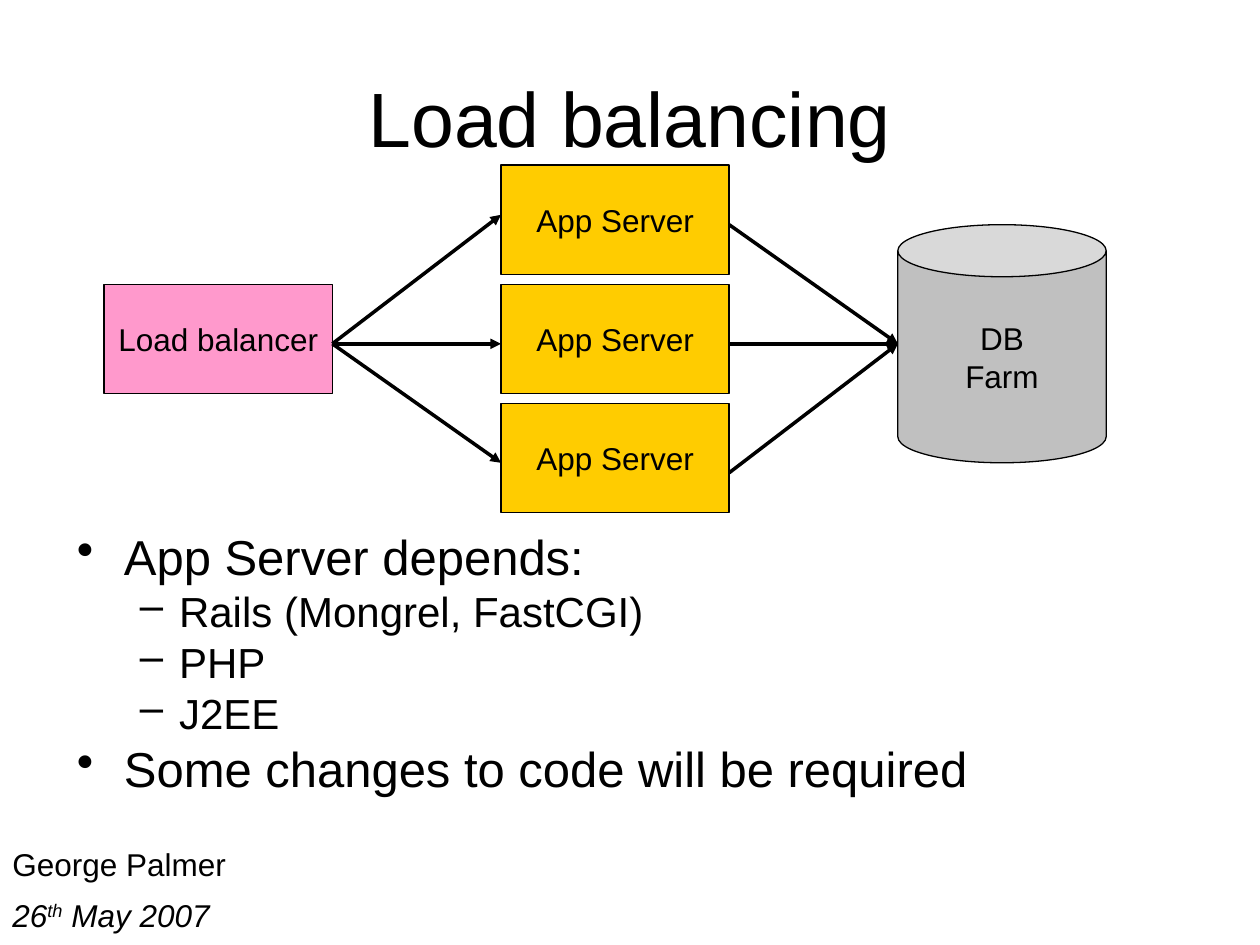
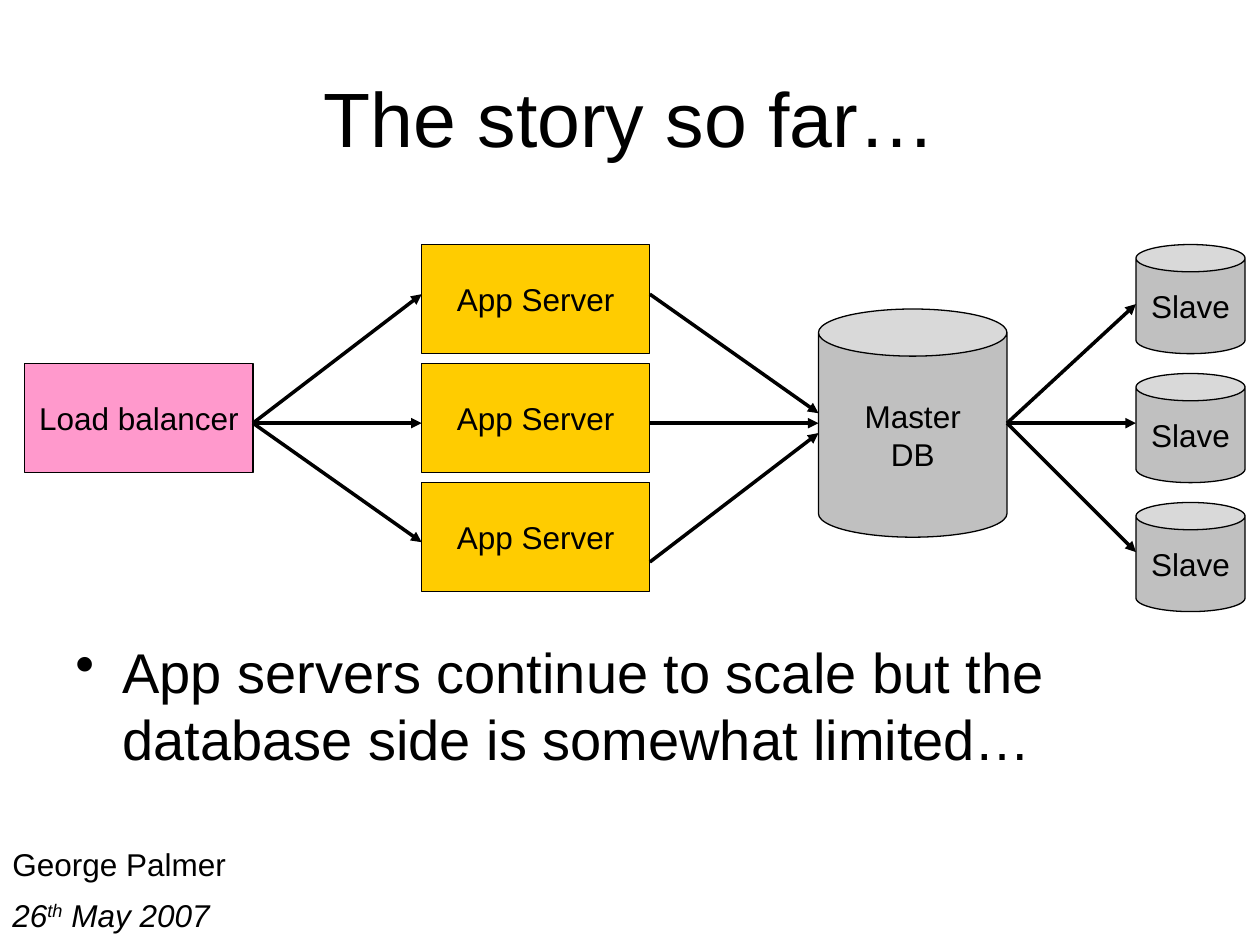
from dataclasses import dataclass
from lxml.etree import SubElement
from pptx import Presentation
from pptx.dml.color import RGBColor as RGB
from pptx.enum.shapes import MSO_CONNECTOR as LINK, MSO_SHAPE as SHAPE
from pptx.enum.text import MSO_ANCHOR as ANCHOR, MSO_AUTO_SIZE as FIT, PP_ALIGN as ALIGN
from pptx.oxml.ns import qn
from pptx.util import Cm, Pt


@dataclass(frozen=True)
class Theme:
    font: str = "Arial"
    ink: RGB = RGB(0, 0, 0)
    pink: RGB = RGB(0xFF, 0x99, 0xCC)
    gold: RGB = RGB(0xFF, 0xCC, 0x00)
    grey: RGB = RGB(0xC0, 0xC0, 0xC0)
    title: int = 44
    large: int = 32
    point: int = 28
    minor: int = 24
    label: int = 18
    edge: float = 0.75
    arrow: float = 2


THEME = Theme()
FOOTER = [
    ("George Palmer", (0, 16.92, 9.9, 1.02), False),
    ("26^th^ May 2007", (0, 17.93, 6.1, 1.02), True),
]
MAJOR = dict(bullet="•", left=0.95, hang=0.95)
MINOR = dict(bullet="–", left=2.06, hang=0.79, size=THEME.minor, before=6, spacing=0.8)
POINT = dict(MAJOR, size=THEME.point, before=7, spacing=0.8)
LARGE = dict(MAJOR, size=THEME.large)
SLIDES = [
    dict(
        title="Load balancing",
        origin=(2.1, 3.33),
        store=("DB\nFarm", 4.2, 4.8),
        exits=(1.2, 3.6, 6.2),
        entries=(3.6, 3.6, 3.6),
        slaves=[],
        body=(1.3, 10.72, 22.86, 6),
        points=[
            ("App Server depends:", POINT),
            ("Rails (Mongrel, FastCGI)\nPHP\nJ2EE", MINOR),
            ("Some changes to code will be required", POINT),
        ],
    ),
    dict(
        title="The story so far…",
        origin=(0.5, 4.93),
        store=("Master\nDB", 3.8, 4.6),
        exits=(1, 3.6, 6.4),
        entries=(3.4, 3.6, 3.8),
        slaves=["Slave"] * 3,
        body=(1.27, 12.72, 22.86, 4.3),
        points=[("App servers continue to scale but the database side is somewhat limited…", LARGE)],
    ),
]
SERVERS = ["App Server"] * 3
BOX_W, BOX_H, STEP = 4.6, 2.2, 2.4
SERVER_X, STORE_X, SLAVE_X = 8, 16, 22.4
SLAVE_STEP, MID = 2.6, 3.6


def write(frame, text, size=THEME.label, align=ALIGN.LEFT, italic=False,
          bullet=None, left=0, hang=0, before=0, spacing=None):
    for line in text.split("\n"):
        first = not frame.text
        para = frame.paragraphs[0] if first else frame.add_paragraph()
        para.alignment = align
        para.space_before = Pt(0 if first else before)
        if spacing:
            para.line_spacing = spacing
        if bullet:
            props = para._p.get_or_add_pPr()
            props.set("marL", str(Cm(left)))
            props.set("indent", str(-Cm(hang)))
            SubElement(props, qn("a:buChar")).set("char", bullet)
        for num, part in enumerate(line.split("^")):
            run = para.add_run()
            run.text = part
            font = run.font
            font.name, font.size, font.italic = THEME.font, Pt(size), italic
            font.color.rgb = THEME.ink
            if num % 2:
                run._r.get_or_add_rPr().set("baseline", "30000")


def add_text(slide, place):
    frame = slide.shapes.add_textbox(*map(Cm, place)).text_frame
    frame.word_wrap = True
    return frame


def add_node(slide, kind, text, fill, origin, x, y, w, h):
    place = (origin[0] + x, origin[1] + y, w, h)
    node = slide.shapes.add_shape(kind, *map(Cm, place))
    node.shadow.inherit = False
    node.fill.solid()
    node.fill.fore_color.rgb = fill
    node.line.color.rgb = THEME.ink
    node.line.width = Pt(THEME.edge)
    frame = node.text_frame
    frame.word_wrap = False
    frame.vertical_anchor = ANCHOR.MIDDLE
    write(frame, text, align=ALIGN.CENTER)


def add_links(slide, origin, x1, x2, starts, ends):
    for y1, y2 in zip(starts, ends):
        ends_at = (origin[0] + x1, origin[1] + y1, origin[0] + x2, origin[1] + y2)
        link = slide.shapes.add_connector(LINK.STRAIGHT, *map(Cm, ends_at))
        link.line.color.rgb = THEME.ink
        link.line.width = Pt(THEME.arrow)
        SubElement(link.line._get_or_add_ln(), qn("a:tailEnd")).set("type", "triangle")
        SubElement(link._element.spPr, qn("a:effectLst"))


def add_title(slide, text):
    title = slide.shapes.title
    title.left, title.top, title.width, title.height = map(Cm, (1.27, 0.76, 22.86, 3.18))
    frame = title.text_frame
    frame.auto_size = FIT.NONE
    frame.vertical_anchor = ANCHOR.MIDDLE
    write(frame, text, size=THEME.title, align=ALIGN.CENTER)


def add_chain(slide, data):
    origin = data["origin"]
    name, width, height = data["store"]
    add_node(slide, SHAPE.RECTANGLE, "Load balancer", THEME.pink, origin, 0, STEP, BOX_W, BOX_H)
    for row, text in enumerate(SERVERS):
        add_node(slide, SHAPE.RECTANGLE, text, THEME.gold, origin,
                 SERVER_X, row * STEP, BOX_W, BOX_H)
    add_node(slide, SHAPE.CAN, name, THEME.grey, origin,
             STORE_X, MID - height / 2, width, height)
    add_links(slide, origin, BOX_W, SERVER_X, [MID] * 3, (1, MID, 6))
    add_links(slide, origin, SERVER_X + BOX_W, STORE_X, data["exits"], data["entries"])
    for row, text in enumerate(data["slaves"]):
        add_node(slide, SHAPE.CAN, text, THEME.grey, origin,
                 SLAVE_X, row * SLAVE_STEP, BOX_H, BOX_H)
    if data["slaves"]:
        add_links(slide, origin, STORE_X + width, SLAVE_X, [MID] * 3, (1.2, MID, 6.2))


def main():
    deck = Presentation()
    deck.slide_width, deck.slide_height = Cm(25.4), Cm(19.05)
    for data in SLIDES:
        slide = deck.slides.add_slide(deck.slide_layouts[5])
        for text, place, italic in FOOTER:
            write(add_text(slide, place), text, italic=italic)
        add_title(slide, data["title"])
        add_chain(slide, data)
        body = add_text(slide, data["body"])
        for text, style in data["points"]:
            write(body, text, **style)
    deck.save("out.pptx")


if __name__ == "__main__":
    main()
